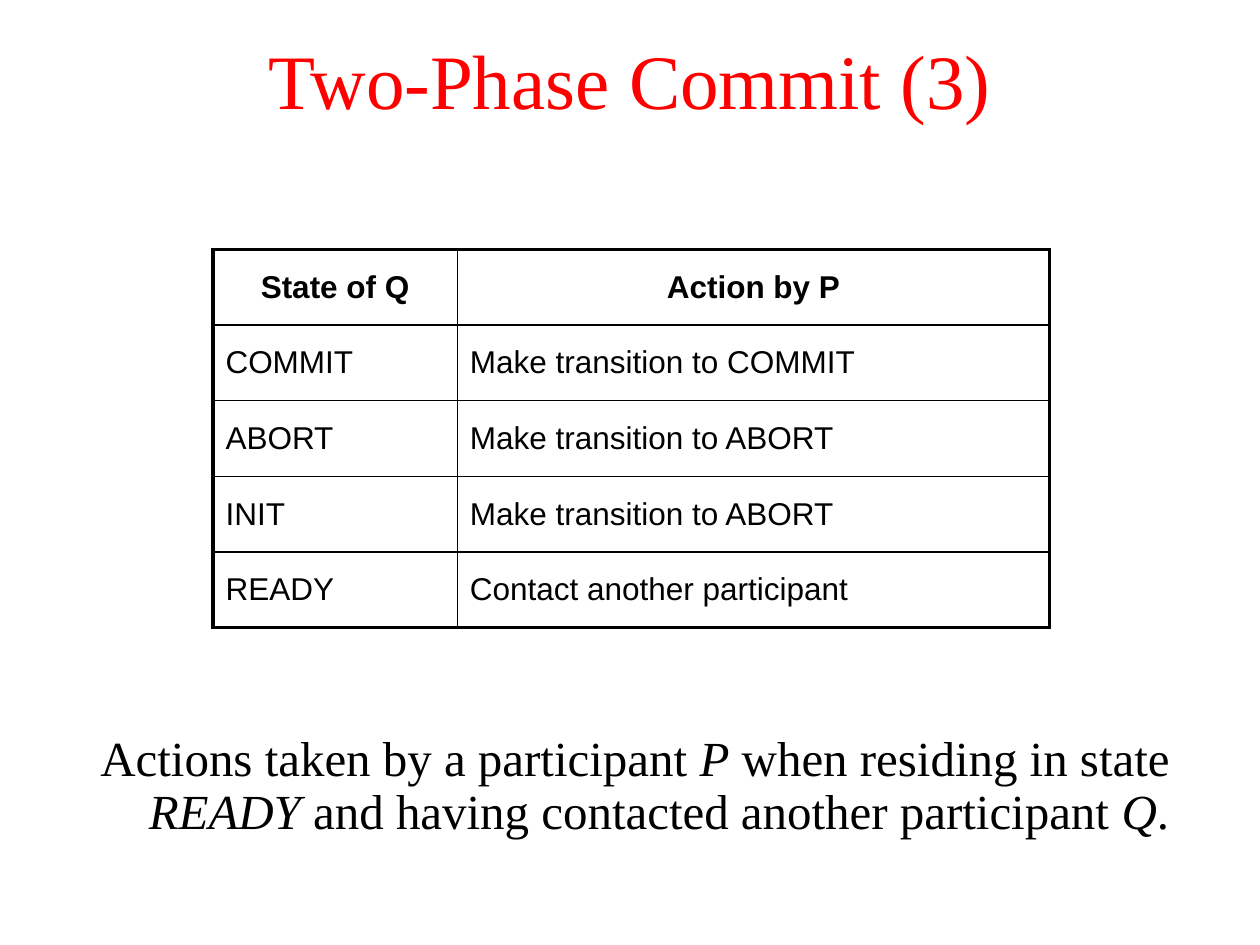
import pptx
import pptx.dml.color
import pptx.enum.text
import pptx.oxml
import pptx.oxml.ns
import pptx.util

Inches = pptx.util.Inches
Pt = pptx.util.Pt
ALIGN = pptx.enum.text.PP_ALIGN
MIDDLE = pptx.enum.text.MSO_ANCHOR.MIDDLE
RED = pptx.dml.color.RGBColor(0xFF, 0x00, 0x00)
BLACK = pptx.dml.color.RGBColor(0x00, 0x00, 0x00)


def style(run, face, size, color):
    run.font.name = face
    run.font.size = Pt(size)
    run.font.color.rgb = color


def border(cell, side, width):
    line = pptx.oxml.parse_xml(
        f'<a:ln{side} {pptx.oxml.ns.nsdecls("a")} w="{Pt(width)}">'
        f'<a:solidFill><a:srgbClr val="{BLACK}"/></a:solidFill></a:ln{side}>')
    cell._tc.get_or_add_tcPr().append(line)


deck = pptx.Presentation()
deck.slide_width = Inches(10)
deck.slide_height = Inches(7.5)
slide = deck.slides.add_slide(deck.slide_layouts[5])

# Title
title = slide.shapes.title
title.left, title.top = Inches(0), Inches(0)
title.width, title.height = Inches(10), Inches(1.25)
title.text_frame.text = "Two-Phase Commit (3)"
title.text_frame.vertical_anchor = MIDDLE
para = title.text_frame.paragraphs[0]
para.alignment = ALIGN.CENTER
style(para.runs[0], "Times New Roman", 44, RED)

# Caption, with the names in italics
box = slide.shapes.add_textbox(Inches(0.54), Inches(5.78), Inches(9), Inches(0.92))
box.text_frame.word_wrap = True
para = box.text_frame.paragraphs[0]
para.alignment = ALIGN.CENTER
para.line_spacing = 0.9
props = para._p.get_or_add_pPr()
props.set("marL", str(Inches(0.38)))
props.set("indent", str(Inches(-0.38)))
parts = ["Actions taken by a participant ", "P", " when residing in state ", "READY",
         " and having contacted another participant ", "Q", "."]
for num, part in enumerate(parts):
    run = para.add_run()
    run.text = part
    run.font.italic = num % 2 == 1
    style(run, "Times New Roman", 28, BLACK)

# Table of states and actions
rows = [
    ("State of Q", "Action by P"),
    ("COMMIT", "Make transition to COMMIT"),
    ("ABORT", "Make transition to ABORT"),
    ("INIT", "Make transition to ABORT"),
    ("READY", "Contact another participant"),
]
widths = [1.94, 4.7]
frame = slide.shapes.add_table(len(rows), len(widths), Inches(1.69), Inches(1.98),
                               Inches(sum(widths)), Inches(0.6 * len(rows)))
table = frame.table
table.first_row = False
table.horz_banding = False
for col, width in zip(table.columns, widths):
    col.width = Inches(width)

for r, row in enumerate(rows):
    for c, text in enumerate(row):
        cell = table.cell(r, c)
        cell.text_frame.text = text
        cell.vertical_anchor = MIDDLE
        para = cell.text_frame.paragraphs[0]
        para.alignment = ALIGN.CENTER if r == 0 else ALIGN.LEFT
        style(para.runs[0], "Arial", 18, BLACK)
        para.runs[0].font.bold = r == 0

        # Thick lines on the outside, thin ones within
        edges = {"L": c == 0, "R": c == len(widths) - 1,
                 "T": r == 0, "B": r == len(rows) - 1}
        for side, outer in edges.items():
            border(cell, side, 2.25 if outer else 1)
        cell.fill.background()

deck.save("out.pptx")
